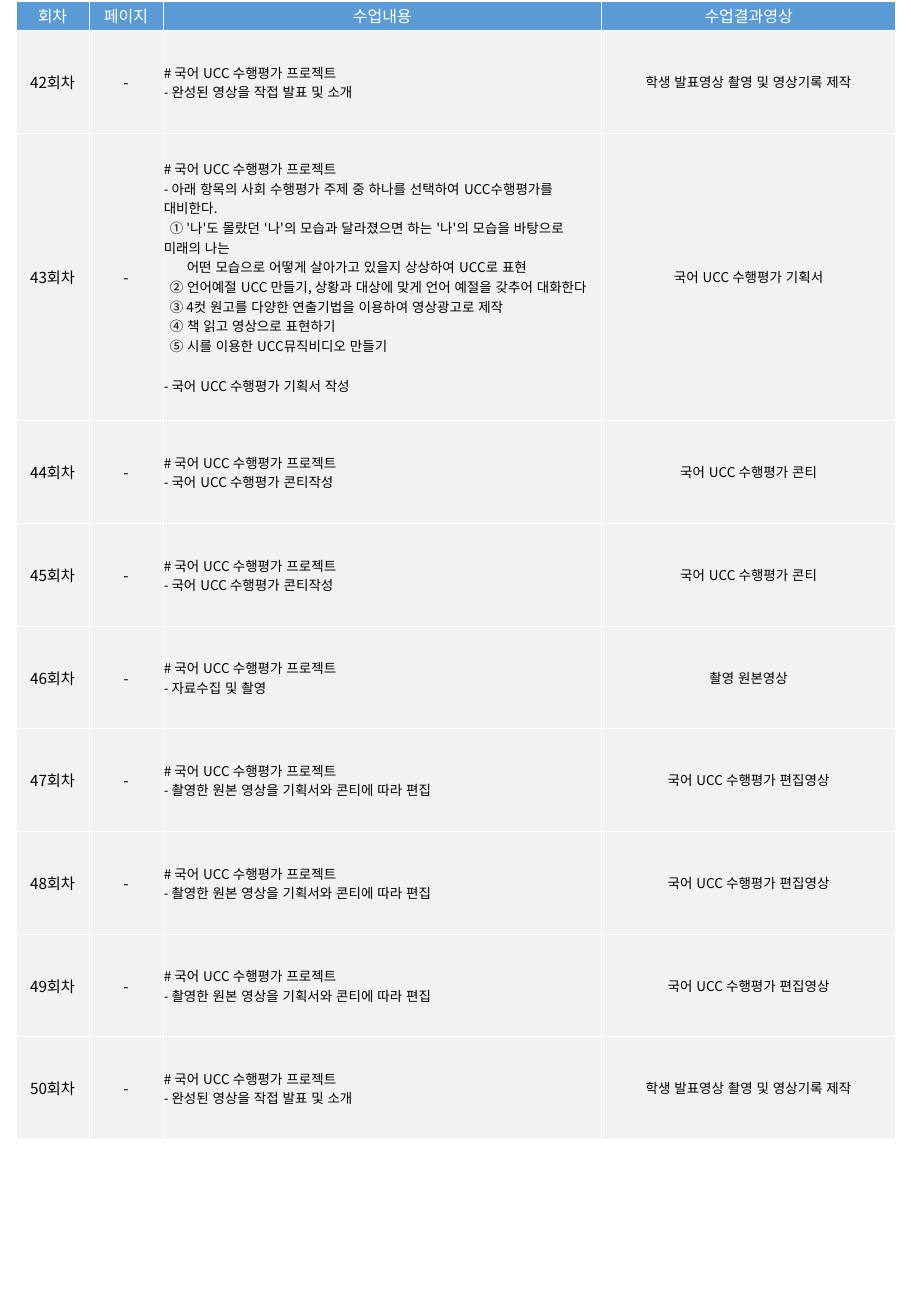
from lxml import etree
from pptx import Presentation
from pptx.dml.color import RGBColor
from pptx.enum.lang import MSO_LANGUAGE_ID
from pptx.enum.text import MSO_ANCHOR, PP_ALIGN
from pptx.oxml.ns import qn
from pptx.util import Emu, Inches, Pt

CENTER, LEFT = PP_ALIGN.CENTER, PP_ALIGN.LEFT
MIDDLE = MSO_ANCHOR.MIDDLE
KOREAN = MSO_LANGUAGE_ID.KOREAN
FONT = "Noto Sans CJK KR"
SCALE = 914400 / 121.5

TABLE_LEFT = 16
COLUMN_WIDTHS = [73, 74, 439, 294]
HEADER_EDGES = [1, 30]
LESSON_EDGES = [30, 133, 420, 523, 626, 728, 831, 934, 1036, 1139]
FIRST_LESSON = 42
ITEM_INDENT, CONTINUED_INDENT, BLOCK_GAP = 6, 23, 20


def px(pixels):
    return Emu(round(pixels * SCALE))


def color(value):
    return RGBColor.from_string(value)


presentation = Presentation()
presentation.slide_width, presentation.slide_height = Inches(7.5), Inches(10.83)
slide = presentation.slides.add_slide(presentation.slide_layouts[6])

# Lesson contents: each line is (text, first-line indent, gap above)
PROJECT = "# 국어 UCC 수행평가 프로젝트"
PRESENT = ["- 완성된 영상을 작접 발표 및 소개"]
STORYBOARD = ["- 국어 UCC 수행평가 콘티작성"]
EDIT = ["- 촬영한 원본 영상을 기획서와 콘티에 따라 편집"]
PLAN = [
    "- 아래 항목의 사회 수행평가 주제 중 하나를 선택하여 UCC수행평가를 대비한다.",
    ("① '나'도 몰랐던 '나'의 모습과 달라졌으면 하는 '나'의 모습을 바탕으로 미래의 나는", ITEM_INDENT, 0),
    ("어떤 모습으로 어떻게 살아가고 있을지 상상하여 UCC로 표현", CONTINUED_INDENT, 0),
    ("② 언어예절 UCC 만들기, 상황과 대상에 맞게 언어 예절을 갖추어 대화한다", ITEM_INDENT, 0),
    ("③ 4컷 원고를 다양한 연출기법을 이용하여 영상광고로 제작", ITEM_INDENT, 0),
    ("④ 책 읽고 영상으로 표현하기", ITEM_INDENT, 0),
    ("⑤ 시를 이용한 UCC뮤직비디오 만들기", ITEM_INDENT, 0),
    ("- 국어 UCC 수행평가 기획서 작성", 0, BLOCK_GAP),
]
PRESENT_RESULT = "학생 발표영상 촬영 및 영상기록 제작"
STORYBOARD_RESULT = "국어 UCC 수행평가 콘티"
EDIT_RESULT = "국어 UCC 수행평가 편집영상"
LESSONS = [
    (PRESENT, PRESENT_RESULT),
    (PLAN, "국어 UCC 수행평가 기획서"),
    (STORYBOARD, STORYBOARD_RESULT),
    (STORYBOARD, STORYBOARD_RESULT),
    (["- 자료수집 및 촬영"], "촬영 원본영상"),
    (EDIT, EDIT_RESULT),
    (EDIT, EDIT_RESULT),
    (EDIT, EDIT_RESULT),
    (PRESENT, PRESENT_RESULT),
]
lesson_rows = [
    [[f"{number}회차"], ["-"], [PROJECT, *content], [result]]
    for number, (content, result) in enumerate(LESSONS, FIRST_LESSON)
]
header_rows = [[["회차"], ["페이지"], ["수업내용"], ["수업결과영상"]]]

# Each table: rows, row edges, fill, text colour, size and alignment by column
TABLES = [
    (lesson_rows, LESSON_EDGES, "F2F2F2", "000000", [9, 9, 8, 8], [CENTER, CENTER, LEFT, CENTER]),
    (header_rows, HEADER_EDGES, "5B9BD5", "FFFFFF", [9.5] * 4, [CENTER] * 4),
]

for rows, edges, fill, text_color, sizes, alignments in TABLES:
    table = slide.shapes.add_table(
        len(rows), len(COLUMN_WIDTHS), px(TABLE_LEFT), px(edges[0]),
        px(sum(COLUMN_WIDTHS)), px(edges[-1] - edges[0])).table
    table.first_row = table.horz_banding = False
    for column, width in zip(table.columns, COLUMN_WIDTHS):
        column.width = px(width)

    for row_index, row in enumerate(rows):
        table.rows[row_index].height = px(edges[row_index + 1] - edges[row_index])
        for column_index, lines in enumerate(row):
            cell = table.cell(row_index, column_index)
            cell.vertical_anchor = MIDDLE
            cell.margin_left = cell.margin_right = cell.margin_top = px(1)
            cell.margin_bottom = 0

            # Borders come before the fill in the cell properties
            properties = cell._tc.get_or_add_tcPr()
            for side in ("lnL", "lnR", "lnT", "lnB"):
                border = etree.SubElement(properties, qn(f"a:{side}"), w=str(Pt(0.5)))
                solid = etree.SubElement(border, qn("a:solidFill"))
                etree.SubElement(solid, qn("a:srgbClr"), val="FFFFFF")
            cell.fill.solid()
            cell.fill.fore_color.rgb = color(fill)

            # Text
            for line_index, line in enumerate(lines):
                text, indent, gap = (line, 0, 0) if isinstance(line, str) else line
                frame = cell.text_frame
                paragraph = frame.add_paragraph() if line_index else frame.paragraphs[0]
                paragraph.alignment = alignments[column_index]
                if indent:
                    paragraph._p.get_or_add_pPr().set("indent", str(px(indent)))
                if gap:
                    paragraph.space_before = px(gap)
                run = paragraph.add_run()
                run.text = text
                run.font.size = Pt(sizes[column_index])
                run.font.name = FONT
                run.font.language_id = KOREAN
                run.font.color.rgb = color(text_color)
                etree.SubElement(run._r.get_or_add_rPr(), qn("a:ea"), typeface=FONT)

presentation.save("out.pptx")
